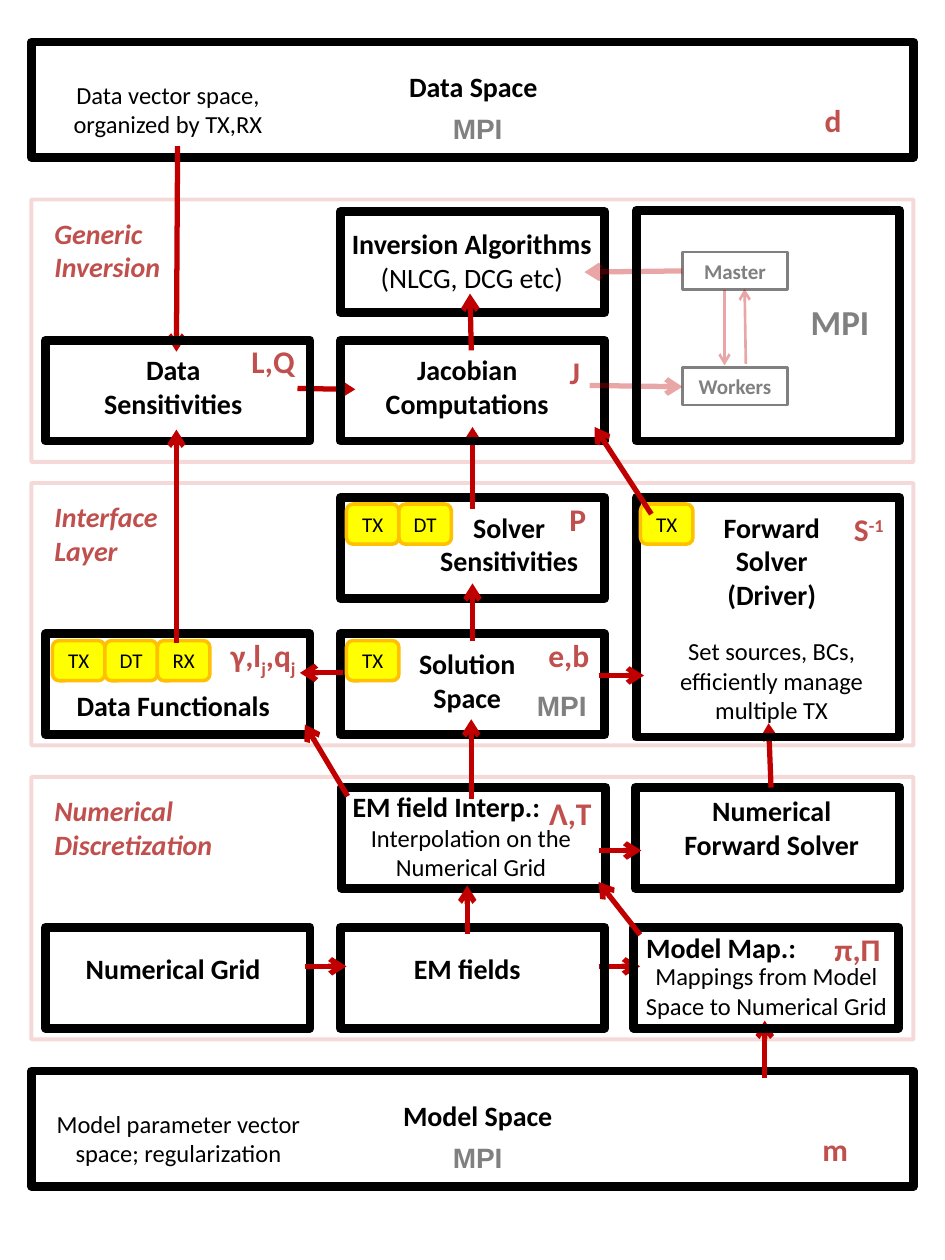
import pptx
import pptx.dml.color
import pptx.enum.shapes
import pptx.enum.text
import pptx.oxml.ns
import pptx.oxml.xmlchemy
import pptx.util

Pt = pptx.util.Pt
SHAPE = pptx.enum.shapes.MSO_SHAPE
ALIGN = pptx.enum.text.PP_ALIGN
BLACK, RED, ROSE, GRAY = "000000", "C00000", "C0504D", "808080"
BOX_SIZE = (151.2, 57.6)
CHIP_SIZE = (30, 23)
COLUMNS = (8, 176.4, 345.6)
STYLES = {
    "title": ({"name": "Calibri", "size": Pt(16), "bold": True}, BLACK, ALIGN.CENTER),
    "caption": ({"name": "Calibri", "size": Pt(16), "bold": True}, BLACK, ALIGN.LEFT),
    "heading": ({"name": "Calibri", "size": Pt(16), "bold": True, "italic": True}, ROSE, ALIGN.LEFT),
    "symbol": ({"name": "Calibri", "size": Pt(18), "bold": True}, ROSE, ALIGN.CENTER),
    "body": ({"name": "Calibri", "size": Pt(14), "bold": False}, BLACK, ALIGN.CENTER),
    "chip": ({"name": "Calibri", "size": Pt(12), "bold": False}, BLACK, ALIGN.CENTER),
    "node": ({"name": "Calibri", "size": Pt(12), "bold": True}, GRAY, ALIGN.CENTER),
    "parallel": ({"name": "Calibri", "size": Pt(20), "bold": True}, GRAY, ALIGN.CENTER),
    "tag": ({"name": "Arial", "size": Pt(16), "bold": True}, GRAY, ALIGN.CENTER),
}


def rgb(color):
    """Turn a hex string into a colour value."""
    return pptx.dml.color.RGBColor.from_string(color)


def append_element(parent, tag, **attributes):
    """Append a drawing element with the given attributes."""
    element = pptx.oxml.xmlchemy.OxmlElement(tag)
    for name, value in attributes.items():
        element.set(name, value)
    parent.append(element)


def set_line(shape, color, width, opacity=100):
    """Set colour, width and opacity percentage of an outline."""
    shape.line.color.rgb = rgb(color)
    shape.line.width = Pt(width)
    if opacity < 100:
        target = shape.line._ln.find(".//" + pptx.oxml.ns.qn("a:srgbClr"))
        append_element(target, "a:alpha", val=str(opacity * 1000))


def write(text_frame, content, style):
    """Write a string, or a list of (string, baseline) parts, in a named style."""
    formats, color, alignment = STYLES[style]
    text_frame.word_wrap = True
    paragraph = text_frame.paragraphs[0]
    paragraph.alignment = alignment
    parts = [(content, 0)] if isinstance(content, str) else content
    for text, baseline in parts:
        run = paragraph.add_run()
        run.text = text
        for name, value in formats.items():
            setattr(run.font, name, value)
        run.font.color.rgb = rgb(color)
        if baseline:
            run._r.get_or_add_rPr().set("baseline", str(baseline * 1000))
    return paragraph


def add_box(slide, box, color=BLACK, width=5, opacity=100, kind=SHAPE.RECTANGLE, fill=None):
    """Add an outlined shape, hollow unless a fill is given."""
    shape = slide.shapes.add_shape(kind, *map(Pt, box))
    shape.shadow.inherit = False
    if fill:
        shape.fill.solid()
        shape.fill.fore_color.rgb = rgb(fill)
    else:
        shape.fill.background()
    set_line(shape, color, width, opacity)
    return shape


def add_boxes(slide, left, top, positions):
    """Add module boxes of the common size."""
    for x, y in positions:
        add_box(slide, (left + x, top + y, *BOX_SIZE))


def add_chips(slide, left, top, chips):
    """Add yellow index chips."""
    for label, x, y in chips:
        shape = add_box(slide, (left + x, top + y, *CHIP_SIZE), "FFC000", 2,
                        kind=SHAPE.ROUNDED_RECTANGLE, fill="FFFF00")
        write(shape.text_frame, label, "chip")


def add_texts(slide, left, top, texts):
    """Add text boxes given as content, style and box."""
    for content, style, (x, y, width, height) in texts:
        shape = slide.shapes.add_textbox(Pt(left + x), Pt(top + y), Pt(width), Pt(height))
        write(shape.text_frame, content, style)


def add_arrows(slide, left, top, arrows, width=3, opacity=100):
    """Add straight red arrows pointing at their second end."""
    for x1, y1, x2, y2 in arrows:
        connector = slide.shapes.add_connector(
            pptx.enum.shapes.MSO_CONNECTOR.STRAIGHT,
            Pt(left + x1), Pt(top + y1), Pt(left + x2), Pt(top + y2))
        set_line(connector, RED, width, opacity)
        append_element(connector.line._ln, "a:tailEnd", type="arrow")
        append_element(connector._element.spPr, "a:effectLst")


def draw_space(slide, box, title, title_span, note, note_span, symbol, symbol_span):
    """Draw a vector space bar; spans are (x, width) pairs."""
    left, top = box[:2]
    add_box(slide, box)
    rows = ((title, "title", title_span, 12, 27), (symbol, "symbol", symbol_span, 30, 29),
            ("MPI", "tag", (228, 54), 36, 27), (note, "body", note_span, 18, 41))
    add_texts(slide, left, top, [(content, style, (x, y, width, height))
                                 for content, style, (x, width), y, height in rows])


def draw_discretization(slide, box):
    """Draw the numerical discretization layer."""
    left, top = box[:2]
    add_box(slide, box, RED, 2.25, 15)
    add_arrows(slide, left, top, [(419, 172.3, 419, 139.2), (324, 108.2, 347.8, 108.2)])
    add_boxes(slide, left, top, [(344.2, 86), (COLUMNS[1], 86), (COLUMNS[0], 86), (345, 6), (177, 6)])
    add_texts(slide, left, top, [
        ("Numerical Discretization", "heading", (6, 6, 114, 46)),
        ("EM field Interp.:", "caption", (176.4, 3.8, 140, 27)),
        ("Interpolation on the Numerical Grid", "body", (182.2, 22.6, 138, 41)),
        ("Λ,T ", "symbol", (288, 6, 44, 29)),
        ("Numerical Forward Solver", "title", (354, 6, 138, 46)),
        ("Numerical Grid", "title", (12, 96, 138, 27)),
        ("EM fields", "title", (180, 96, 138, 27)),
        ("Model Map.:", "caption", (344.2, 84, 102, 27)),
        ("Mappings from Model Space to Numerical Grid", "body", (342, 101.8, 156, 41)),
        ("π,Π ", "symbol", (450, 84, 48, 29))])
    add_arrows(slide, left, top, [(347.8, 90.2, 324, 60), (324, 42, 348.5, 42),
                                  (156.2, 108.2, 180, 108.2), (249, 89.5, 249, 62)])


def draw_interface(slide, box):
    """Draw the interface layer."""
    left, top = box[:2]
    add_box(slide, box, RED, 2.25, 15)
    add_arrows(slide, left, top, [(422.6, 174, 421.2, 137.3)])
    add_boxes(slide, left, top, [(COLUMNS[1], 86.2), (COLUMNS[0], 86.2), (COLUMNS[1], 8.4)])
    add_box(slide, (left + COLUMNS[2], top + 8.4, 150.5, 136.8))
    add_texts(slide, left, top, [
        ("Interface Layer", "heading", (6, 6, 84, 46)),
        ("Solver Sensitivities", "title", (216, 12, 114, 46)),
        ("P", "symbol", (300, 6, 24.5, 29)),
        ("Forward Solver (Driver)", "title", (378, 12, 90, 66)),
        ([("S", 0), ("-1", 30)], "symbol", (462, 12, 33, 29)),
        ("Set sources, BCs, efficiently manage multiple TX", "body", (354, 84, 138, 58)),
        ("Data Functionals", "title", (12, 114, 138, 27)),
        ([("γ,l", 0), ("j", -25), (",q", 0), ("j", -25)], "symbol", (104.4, 84, 56, 29)),
        ("Solution Space", "title", (210, 90, 78, 46)),
        ("e,b", "symbol", (288, 84, 38, 29)),
        ("MPI", "tag", (276, 114, 54, 27))])
    add_chips(slide, left, top, [("TX", 12, 90), ("DT", 42, 90), ("RX", 72, 90), ("TX", 180, 90),
                                 ("TX", 180, 12), ("DT", 210, 12), ("TX", 348, 12)])
    add_arrows(slide, left, top, [(252, 90.5, 252, 57.4), (180.7, 179, 156.2, 138),
                                  (251.3, 180.5, 251.3, 135), (177.8, 108.5, 153.4, 108.5),
                                  (324, 110, 350, 110)])


def draw_inversion(slide, box):
    """Draw the generic inversion layer with its master and workers."""
    left, top = box[:2]
    add_box(slide, box, RED, 2.25, 15)
    add_arrows(slide, left, top, [(152, 108, 185, 108.5), (83.5, -30.5, 82.8, 87),
                                  (252, 177, 252, 130)])
    add_boxes(slide, left, top, [(COLUMNS[1], 80.4), (COLUMNS[0], 80.4), (COLUMNS[1], 7)])
    add_texts(slide, left, top, [
        ("Generic Inversion", "heading", (6, 6, 78, 46)),
        ("Data Sensitivities", "title", (18, 84, 126, 46)),
        ("L,Q", "symbol", (114, 78, 48, 29)),
        ("Jacobian Computations", "title", (180, 84, 138, 46)),
        ("J", "symbol", (300, 84, 21, 29)),
        ("MPI", "parallel", (432, 54, 60, 32))])
    shape = slide.shapes.add_textbox(Pt(left + 170.6), Pt(top + 12), Pt(162), Pt(46))
    paragraph = write(shape.text_frame, [("Inversion Algorithms ", 0), ("(NLCG, DCG etc)", 0)], "title")
    paragraph.runs[1].font.bold = False
    for label, y in (("Master", 30), ("Workers", 96)):
        node = add_box(slide, (left + 372, top + y, 60, 21.6), GRAY, 1.5)
        write(node.text_frame, label, "node")
    add_arrows(slide, left, top, [(372, 40.8, 316, 41.5), (319, 106.3, 372, 107)], 3, 35)
    add_arrows(slide, left, top, [(408.2, 94, 407.5, 51), (396, 51.6, 396, 94.8)], 1.5, 35)
    add_arrows(slide, left, top, [(251.3, 86.2, 250.6, 53.8), (354.2, 179.8, 321.8, 130),
                                  (82.8, 253.2, 82.8, 131.5)])
    add_box(slide, (left + COLUMNS[2], top + 6.2, 150.5, 131.8))


def main():
    """Build the slide and save it."""
    presentation = pptx.Presentation()
    presentation.slide_width, presentation.slide_height = Pt(540), Pt(720)
    slide = presentation.slides.add_slide(presentation.slide_layouts[6])
    draw_space(slide, (18, 24, 504, 66), "Data Space", (204, 97),
               "Data vector space, organized by TX,RX", (0, 156), "d", (444, 28))
    draw_space(slide, (18, 612, 504, 66), "Model Space", (156, 198),
               "Model parameter vector space; regularization", (6, 156), "m ", (426, 70.5))
    draw_discretization(slide, (18, 444, 504, 150))
    draw_interface(slide, (18, 276, 504, 150))
    draw_inversion(slide, (18, 114, 504, 150))
    presentation.save("out.pptx")


if __name__ == "__main__":
    main()
